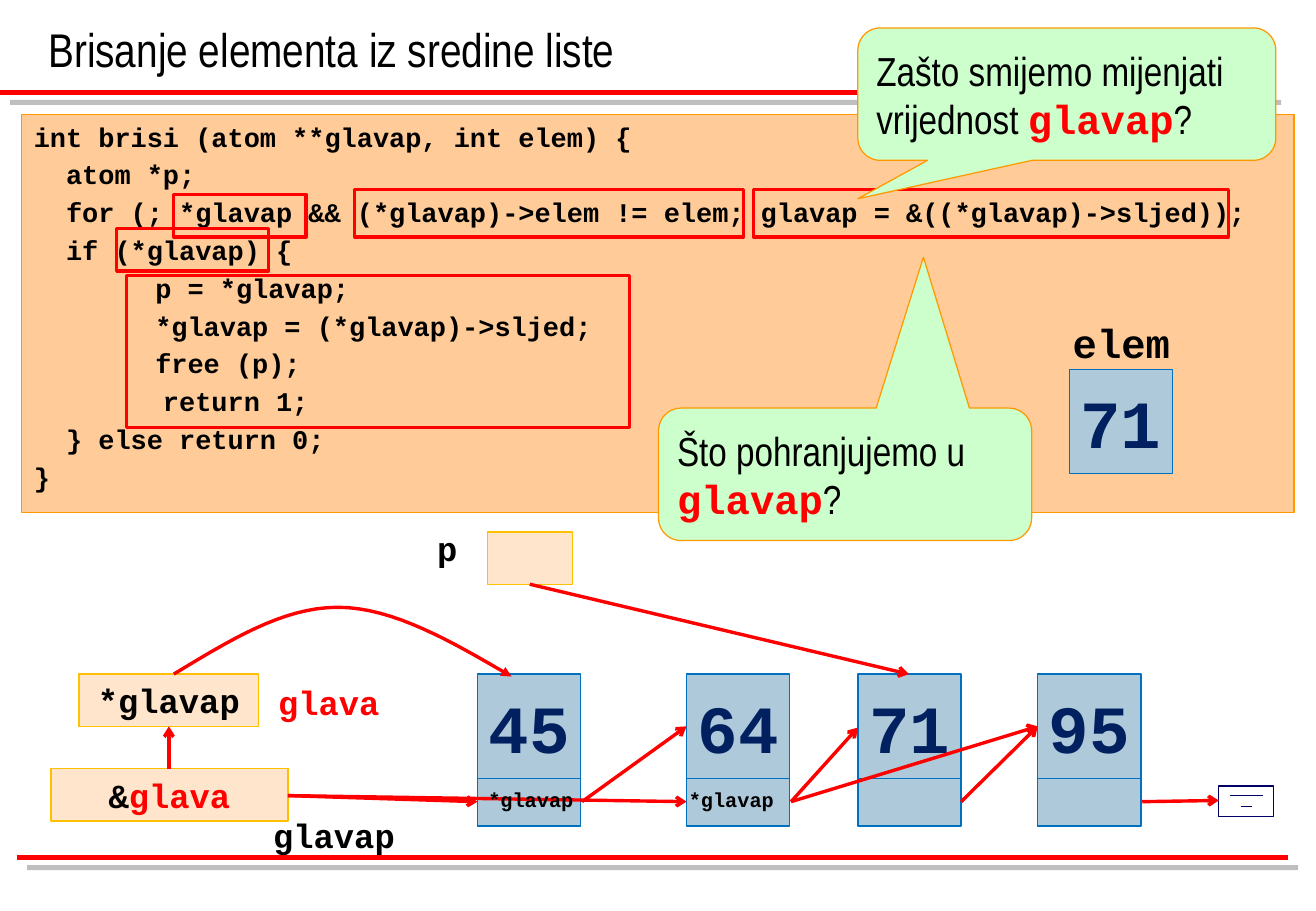
"""Slide on deleting an element from the middle of a linked list."""
from lxml.etree import SubElement
from pptx import Presentation
from pptx.dml.color import RGBColor
from pptx.enum.shapes import MSO_CONNECTOR, MSO_SHAPE as SHAPE
from pptx.enum.text import MSO_ANCHOR as ANCHOR, PP_ALIGN as ALIGN
from pptx.oxml import parse_xml
from pptx.oxml.ns import nsdecls, qn
from pptx.util import Inches, Pt

BLACK = RGBColor(0x00, 0x00, 0x00)
RED = RGBColor(0xFF, 0x00, 0x00)
ORANGE = RGBColor(0xFF, 0x99, 0x00)
PEACH = RGBColor(0xFF, 0xCC, 0x99)
GOLD = RGBColor(0xFF, 0xC0, 0x00)
STEEL = RGBColor(0xAE, 0xC9, 0xDA)
BLUE = RGBColor(0x00, 0x70, 0xC0)
NAVY = RGBColor(0x00, 0x20, 0x60)
INDIGO = RGBColor(0x00, 0x00, 0x66)
MINT = RGBColor(0xCC, 0xFF, 0xCC)
SANS, MONO = "Arial Narrow", "Courier New"

presentation = Presentation()
presentation.slide_width = Inches(10.83)
presentation.slide_height = Inches(7.5)
slide = presentation.slides.add_slide(presentation.slide_layouts[6])
shapes = slide.shapes


def add_box(place, fill, line, weight=0.75, kind=SHAPE.RECTANGLE):
    shape = shapes.add_shape(kind, *map(Inches, place))
    shape.shadow.inherit = False
    if fill is None:
        shape.fill.background()
    else:
        shape.fill.solid()
        shape.fill.fore_color.rgb = fill
    shape.line.color.rgb = line
    shape.line.width = Pt(weight)
    return shape


def write(shape, text, size, color=BLACK, name=MONO, align=ALIGN.LEFT,
          anchor=ANCHOR.TOP, wrap=False):
    frame = shape.text_frame
    frame.word_wrap = wrap
    frame.vertical_anchor = anchor
    for index, line in enumerate(text.split("\n")):
        paragraph = frame.add_paragraph() if index else frame.paragraphs[0]
        paragraph.text = line
        paragraph.alignment = align
        if "\t" in line:
            tabs = SubElement(paragraph._p.get_or_add_pPr(), qn("a:tabLst"))
            SubElement(tabs, qn("a:tab"), pos=str(Inches(1)), algn="l")
        if index:
            paragraph.space_before = Pt(3.2)
        font = paragraph.font
        font.size, font.name, font.bold = Pt(size), name, name == MONO
        font.color.rgb = color


title = shapes.add_textbox(Inches(0.3), Inches(0), Inches(10.16), Inches(0.68))
write(title, "Brisanje elementa iz sredine liste", 28, name=SANS,
      anchor=ANCHOR.BOTTOM, wrap=True)

code = """int brisi (atom **glavap, int elem) {
  atom *p;
  for (; *glavap && (*glavap)->elem != elem; glavap = &((*glavap)->sljed));
  if (*glavap) {
\tp = *glavap;
\t*glavap = (*glavap)->sljed;
\tfree (p);
        return 1;
  } else return 0;
}"""
code_box = add_box((0.18, 0.94, 10.47, 3.28), PEACH, ORANGE)
write(code_box, code, 16, wrap=True)

node_lefts = (3.93, 5.65, 7.06, 8.54)
for left in node_lefts:
    add_box((left, 6.41, 0.85, 0.39), STEEL, BLUE)
values = zip((8.8, *node_lefts), (3.04, 5.55, 5.55, 5.55, 5.55), ("71", "45", "64", "71", "95"))
for left, top, value in values:
    cell = add_box((left, top, 0.85, 0.86), STEEL, BLUE)
    write(cell, value, 40, NAVY, align=ALIGN.CENTER, anchor=ANCHOR.MIDDLE)

pointers = [
    ((0.65, 5.55, 1.48, 0.43), [("*glavap", BLACK)]),
    ((4.01, 4.38, 0.7, 0.43), []),
    ((0.42, 6.33, 1.95, 0.43), [("&", BLACK), ("glava", RED)]),
]
for place, parts in pointers:
    pointer = add_box(place, PEACH, GOLD)
    fill_color = pointer._element.spPr.find(qn("a:solidFill"))[0]
    SubElement(fill_color, qn("a:alpha"), val="50000")
    write(pointer, "", 20, align=ALIGN.CENTER, anchor=ANCHOR.MIDDLE)
    for text, color in parts:
        run = pointer.text_frame.paragraphs[0].add_run()
        run.text = text
        run.font.size, run.font.name, run.font.bold = Pt(20), MONO, True
        run.font.color.rgb = color

add_box((10.03, 6.47, 0.45, 0.25), None, INDIGO)
highlights = [
    (1.43, 1.6, 1.09, 0.35), (2.92, 1.56, 3.2, 0.39), (0.96, 1.88, 1.25, 0.35),
    (1.04, 2.27, 4.14, 1.25), (6.2, 1.56, 3.91, 0.39),
]
for place in highlights:
    add_box(place, None, RED, 2)

rules = [(0, 0.76, 10.46, 0.76), (0.14, 7.06, 10.6, 7.06)]
ground_bars = [(10.03, 6.47, 10.48, 6.47), (10.12, 6.55, 10.39, 6.55), (10.21, 6.64, 10.3, 6.64)]
arrows = [
    (4.79, 6.6, 5.65, 5.98), (9.4, 6.6, 10.03, 6.59), (6.51, 6.6, 7.06, 5.99),
    (4.36, 4.81, 7.48, 5.55), (7.91, 6.6, 8.54, 5.98), (1.39, 6.33, 1.39, 5.98),
    (2.37, 6.55, 3.93, 6.6), (2.37, 6.55, 5.65, 6.6), (6.51, 6.6, 8.54, 5.98),
]
for group, color, weight in ((rules, RED, 3), (ground_bars, INDIGO, 0.75), (arrows, RED, 2)):
    for ends in group:
        connector = shapes.add_connector(MSO_CONNECTOR.STRAIGHT, *map(Inches, ends))
        connector.line.color.rgb = color
        connector.line.width = Pt(weight)
        if group is arrows:
            SubElement(connector.line._get_or_add_ln(), qn("a:tailEnd"), type="arrow")
        effects = SubElement(connector._element.spPr, qn("a:effectLst"))
        if group is rules:
            effects.append(parse_xml(
                f'<a:outerShdw {nsdecls("a")} dist="107950" dir="2700000">'
                '<a:srgbClr val="808080"><a:alpha val="50000"/></a:srgbClr></a:outerShdw>'))

curve_points = []
for curve in (((1.43, 5.55), (1.88, 5.28), (2.32, 5), (2.78, 5)),
              ((2.78, 5), (3.24, 5), (3.73, 5.29), (4.21, 5.57))):
    for step in range(17):
        t = step / 16
        weights = ((1 - t) ** 3, 3 * t * (1 - t) ** 2, 3 * t * t * (1 - t), t ** 3)
        curve_points.append(tuple(
            Inches(sum(w * point[axis] for w, point in zip(weights, curve))) for axis in (0, 1)))
builder = shapes.build_freeform(*curve_points[0])
builder.add_line_segments(curve_points[1:], close=False)
head_arrow = builder.convert_to_shape()
head_arrow.shadow.inherit = False
head_arrow.fill.background()
head_arrow.line.color.rgb = RED
head_arrow.line.width = Pt(2)
SubElement(head_arrow.line._get_or_add_ln(), qn("a:tailEnd"), type="triangle")

callouts = [
    ((7.06, 0.23, 3.44, 1.09), (-0.5, 0.79, 0.17), "Zašto smijemo mijenjati", "vrijednost "),
    ((5.42, 3.36, 3.07, 1.09), (0.21, -1.64, 0.17), "Što pohranjujemo u", ""),
]
for place, adjustments, first_line, lead in callouts:
    callout = add_box(place, MINT, ORANGE, kind=SHAPE.ROUNDED_RECTANGULAR_CALLOUT)
    for index, value in enumerate(adjustments):
        callout.adjustments[index] = value
    write(callout, first_line + "\v", 24, name=SANS, anchor=ANCHOR.MIDDLE, wrap=True)
    paragraph = callout.text_frame.paragraphs[0]
    for text, name, color in ((lead, SANS, BLACK), ("glavap", MONO, RED), ("?", SANS, BLACK)):
        if text:
            run = paragraph.add_run()
            run.text = text
            run.font.size, run.font.name, run.font.bold = Pt(24), name, name == MONO
            run.font.color.rgb = color

labels = [
    ((8.73, 2.57, 1, 0.5), "elem", 24, BLACK),
    ((2.15, 6.66, 1.2, 0.43), "glavap", 20, BLACK),
    ((3.5, 4.3, 0.37, 0.43), "p", 20, BLACK),
    ((3.92, 6.43, 0.91, 0.3), "*glavap", 12, BLACK),
    ((5.57, 6.43, 0.91, 0.3), "*glavap", 12, BLACK),
    ((2.19, 5.56, 1.1, 0.43), "glava", 20, RED),
]
for place, text, size, color in labels:
    write(shapes.add_textbox(*map(Inches, place)), text, size, color)

presentation.save("out.pptx")
